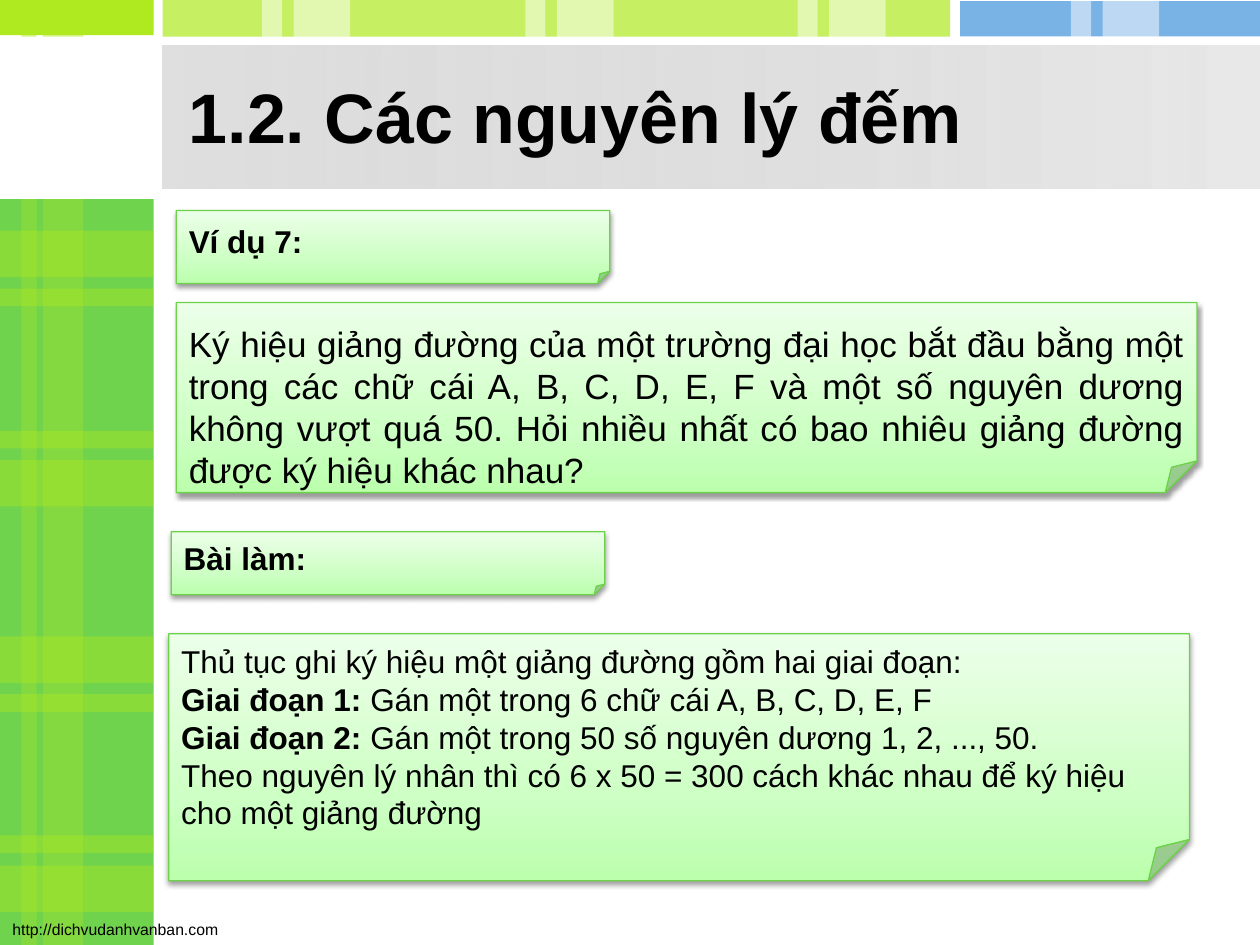
"""Build the counting-principles slide with its plaid frame and four note cards."""
from dataclasses import dataclass

from lxml.etree import SubElement
from pptx import Presentation
from pptx.dml.color import RGBColor
from pptx.enum.shapes import MSO_SHAPE
from pptx.enum.text import MSO_ANCHOR, PP_ALIGN
from pptx.oxml.ns import qn
from pptx.util import Inches, Pt


@dataclass(frozen=True)
class Theme:
    font: str = "Arial"
    text: str = "000000"
    white: str = "FFFFFF"
    green: str = "70D34D"
    lime: str = "AFE91F"
    blue: str = "4192DB"
    card_line: str = "6CD248"
    card_stops: tuple = ((0, "BBFFAD", 100), (35, "CEFFC5", 100), (100, "ECFFE9", 100))
    banner_stops: tuple = ((0, "C0C0C0", 50), (100, "E8E8E8", 100))
    title_size: int = 40
    question_size: int = 20
    body_size: int = 18
    footer_size: int = 9


class SlideBuilder:
    def __init__(self, slide, theme):
        self.slide = slide
        self.theme = theme

    def add_shape(self, kind, left, top, width, height):
        shape = self.slide.shapes.add_shape(
            kind, Inches(left), Inches(top), Inches(width), Inches(height))
        shape.shadow.inherit = False
        shape.line.fill.background()
        return shape

    def add_color(self, parent, color, opacity):
        element = SubElement(parent, qn("a:srgbClr"), val=color)
        SubElement(element, qn("a:alpha"), val=str(opacity * 1000))

    def set_gradient(self, shape, stops, angle):
        shape.fill.gradient()
        shape.fill.gradient_angle = angle
        stop_list = shape._element.spPr.find(qn("a:gradFill")).find(qn("a:gsLst"))
        for stop in list(stop_list):
            stop_list.remove(stop)
        for position, color, opacity in stops:
            stop = SubElement(stop_list, qn("a:gs"), pos=str(position * 1000))
            self.add_color(stop, color, opacity)

    def add_block(self, left, top, width, height, color, opacity=100):
        shape = self.add_shape(MSO_SHAPE.RECTANGLE, left, top, width, height)
        shape.fill.solid()
        shape.fill.fore_color.rgb = RGBColor.from_string(color)
        if opacity < 100:
            color_element = shape._element.spPr.find(qn("a:solidFill"))[0]
            SubElement(color_element, qn("a:alpha"), val=str(opacity * 1000))

    def add_banner(self, left, top, width, height):
        shape = self.add_shape(MSO_SHAPE.RECTANGLE, left, top, width, height)
        self.set_gradient(shape, self.theme.banner_stops, 0)

    def fill_text(self, frame, paragraphs, size, bold=False, align=PP_ALIGN.LEFT):
        for index, runs in enumerate(paragraphs):
            paragraph = frame.paragraphs[0] if index == 0 else frame.add_paragraph()
            paragraph.alignment = align
            paragraph.font.name = self.theme.font
            paragraph.font.size = Pt(size)
            paragraph.font.bold = bold
            paragraph.font.color.rgb = RGBColor.from_string(self.theme.text)
            for run_index, text in enumerate(runs):
                run = paragraph.add_run()
                run.text = text
                if len(runs) > 1:
                    run.font.bold = run_index == 0

    def add_text(self, left, top, width, height, text, size, bold=False, wrap=True):
        box = self.slide.shapes.add_textbox(
            Inches(left), Inches(top), Inches(width), Inches(height))
        box.text_frame.word_wrap = wrap
        box.text_frame.vertical_anchor = MSO_ANCHOR.MIDDLE if wrap else MSO_ANCHOR.TOP
        self.fill_text(box.text_frame, [[text]], size, bold)

    def add_card(self, left, top, width, height, paragraphs, size, **style):
        shape = self.add_shape(MSO_SHAPE.FOLDED_CORNER, left, top, width, height)
        self.set_gradient(shape, self.theme.card_stops, 90)
        shape.line.color.rgb = RGBColor.from_string(self.theme.card_line)
        shape.line.width = Pt(0.75)
        effects = shape._element.spPr.find(qn("a:effectLst"))
        shadow = SubElement(effects, qn("a:outerShdw"), blurRad=str(Pt(3.1)),
                            dist=str(Pt(1.6)), dir="5400000", rotWithShape="0")
        self.add_color(shadow, self.theme.text, 38)
        frame = shape.text_frame
        frame.word_wrap = True
        frame.vertical_anchor = MSO_ANCHOR.MIDDLE
        self.fill_text(frame, paragraphs, size, **style)
        return frame


def add_frame(builder):
    theme = builder.theme
    side_width = 1.22
    builder.add_block(0, 1.58, side_width, 5.92, theme.green)
    builder.add_block(0, 0, side_width, 0.28, theme.lime)
    builder.add_block(1.29, 0, 6.25, 0.29, theme.lime, 70)
    builder.add_block(7.62, 0.01, 2.38, 0.28, theme.blue, 70)
    for wide_top, narrow_top in ((1.83, 2.29), (3.65, 3.42), (5.05, 5.51), (6.87, 6.63)):
        builder.add_block(0, wide_top, side_width, 0.37, theme.lime, 40)
        builder.add_block(0, narrow_top, side_width, 0.14, theme.lime, 40)
    for top, height, opacity in ((1.58, 5.92, 30), (0, 0.29, 50)):
        builder.add_block(0.17, top, 0.12, height, theme.lime, opacity)
        builder.add_block(0.34, top, 0.32, height, theme.lime, opacity)
    for left, height in ((2.08, 0.31), (4.17, 0.31), (6.33, 0.31), (8.5, 0.33)):
        builder.add_block(left, 0, 0.16, height, theme.white, 50)
        builder.add_block(left + 0.25, 0, 0.45, height, theme.white, 50)
    builder.add_banner(1.29, 0.36, 8.71, 1.14)


def main():
    presentation = Presentation()
    presentation.slide_width = Inches(10)
    presentation.slide_height = Inches(7.5)
    slide = presentation.slides.add_slide(presentation.slide_layouts[6])
    theme = Theme()
    builder = SlideBuilder(slide, theme)
    add_frame(builder)
    builder.add_text(0, 7.25, 1.85, 0.25, "http://dichvudanhvanban.com",
                     theme.footer_size, wrap=False)
    builder.add_text(1.4, 0.5, 7.1, 0.83, "1.2. Các nguyên lý đếm",
                     theme.title_size, bold=True)
    builder.add_card(1.4, 1.67, 3.44, 0.58, [["Ví dụ 7:"]], theme.body_size, bold=True)
    question = builder.add_card(1.4, 2.4, 8.1, 1.51, [[
        "Ký hiệu giảng đường của một trường đại học bắt đầu bằng một trong các "
        "chữ cái A, B, C, D, E, F và một số nguyên dương không vượt quá 50. Hỏi "
        "nhiều nhất có bao nhiêu giảng đường được ký hiệu khác nhau?"]],
        theme.question_size, align=PP_ALIGN.JUSTIFY)
    question.vertical_anchor = MSO_ANCHOR.TOP
    question.margin_top = Inches(0.16)
    builder.add_card(1.34, 5.03, 8.1, 1.96, [
        ["Thủ tục ghi ký hiệu một giảng đường gồm hai giai đoạn:"],
        ["Giai đoạn 1: ", "Gán một trong 6 chữ cái A, B, C, D, E, F"],
        ["Giai đoạn 2: ", "Gán một trong 50 số nguyên dương 1, 2, ..., 50."],
        ["Theo nguyên lý nhân thì có 6 x 50 = 300 cách khác nhau để ký hiệu "
         "cho một giảng đường"]], theme.body_size)
    builder.add_card(1.36, 4.22, 3.44, 0.5, [["Bài làm:"]], theme.body_size, bold=True)
    presentation.save("out.pptx")


if __name__ == "__main__":
    main()
